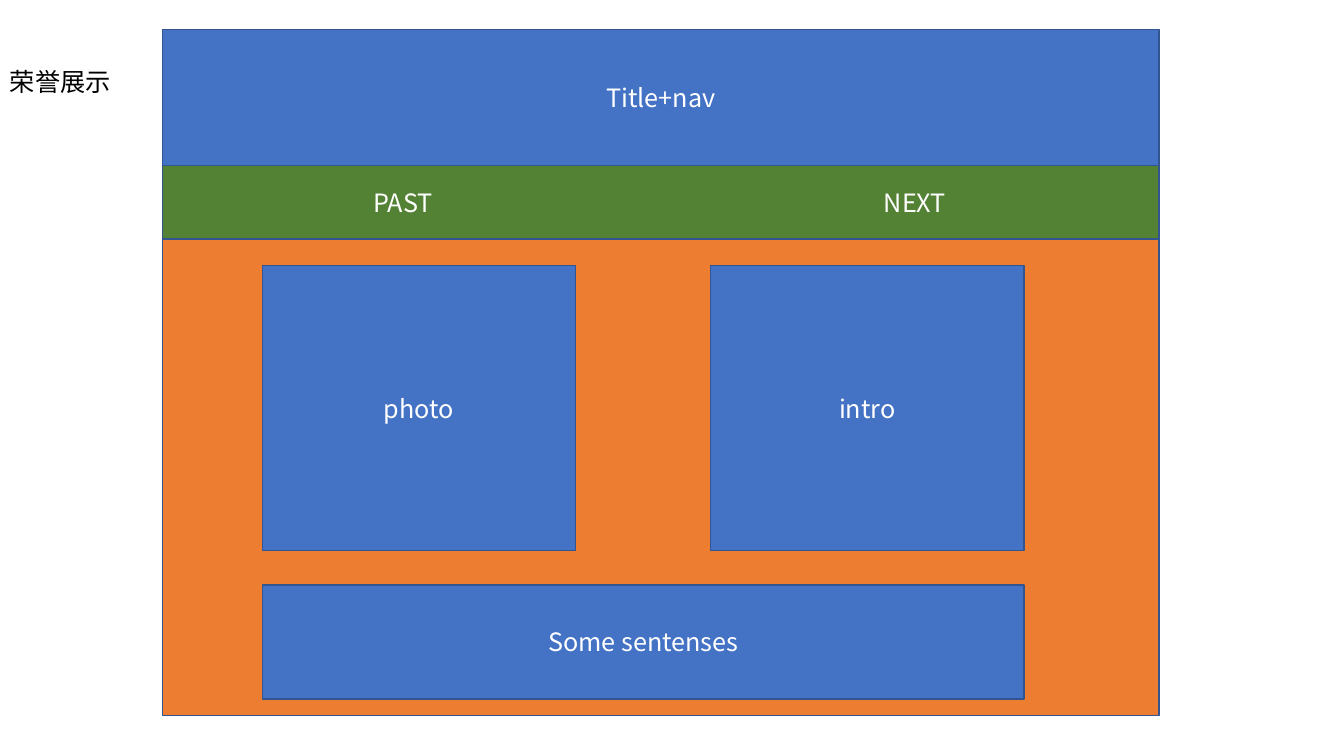
from pptx import Presentation
from pptx import util as u
from pptx.dml import color
from pptx.enum import shapes, text
from pptx.oxml import ns
from lxml import etree

COLORS = {"blue": "4472C4", "green": "548235", "orange": "ED7D31",
          "border": "325491", "white": "FFFFFF", "black": "000000"}
FONT = "Noto Sans CJK SC"


def rgb(name):
    return color.RGBColor.from_string(COLORS[name])


def add_run(paragraph, wording, ink):
    run = paragraph.add_run()
    run.text = wording
    run.font.size = u.Pt(18)
    run.font.name = FONT
    run.font.color.rgb = rgb(ink)
    east_asian = etree.SubElement(run.font._element, ns.qn("a:ea"))
    east_asian.set("typeface", FONT)


def add_block(slide, box, fill, label=None):
    block = slide.shapes.add_shape(shapes.MSO_SHAPE.RECTANGLE, *map(u.Pt, box))
    block.shadow.inherit = False
    block.fill.solid()
    block.fill.fore_color.rgb = rgb(fill)
    block.line.color.rgb = rgb("border")
    block.line.width = u.Pt(1)
    block.text_frame.vertical_anchor = text.MSO_ANCHOR.MIDDLE
    paragraph = block.text_frame.paragraphs[0]
    paragraph.alignment = text.PP_ALIGN.CENTER
    if label:
        add_run(paragraph, label, "white")
    return paragraph


def add_pager(slide, box, links):
    paragraph = add_block(slide, box, "green")
    paragraph.alignment = text.PP_ALIGN.LEFT
    tabs = etree.SubElement(paragraph._p.get_or_add_pPr(), ns.qn("a:tabLst"))
    for label, center in links:
        tab = etree.SubElement(tabs, ns.qn("a:tab"))
        tab.set("pos", str(u.Pt(center)))
        tab.set("algn", "ctr")
        add_run(paragraph, "\t" + label, "white")


def add_honors(slide, box):
    left, top, width, height = box
    add_block(slide, box, "orange")
    inset, upper, panel_width, panel_height = 71.3, 18.7, 224, 203.8
    panels_width = 544.3
    for label, offset in (("photo", 0), ("intro", panels_width - panel_width)):
        add_block(slide, (left + inset + offset, top + upper,
                          panel_width, panel_height), "blue", label)
    add_block(slide, (left + inset, top + 247, panels_width, 81.4),
              "blue", "Some sentenses")


def add_page_name(slide, box, wording):
    page_name = slide.shapes.add_textbox(*map(u.Pt, box))
    page_name.text_frame.word_wrap = True
    page_name.text_frame.auto_size = text.MSO_AUTO_SIZE.SHAPE_TO_FIT_TEXT
    add_run(page_name.text_frame.paragraphs[0], wording, "black")


def add_wireframe(slide, box):
    left, top, width, height = box
    header_height, pager_height = 97.4, 52.5
    pager_top = top + header_height
    honors_top = pager_top + pager_height
    add_block(slide, (left, top, width, header_height), "blue", "Title+nav")
    add_pager(slide, (left, pager_top, width, pager_height),
              (("PAST", 164.8), ("NEXT", 530.4)))
    add_honors(slide, (left, honors_top, width, top + height - honors_top))
    add_page_name(slide, (0, top + 23, left, 29), "荣誉展示")


deck = Presentation()
deck.slide_width, deck.slide_height = u.Pt(960), u.Pt(540)
honors_page = deck.slides.add_slide(deck.slide_layouts[6])
add_wireframe(honors_page, (116, 20.9, 712, 490.3))
deck.save("out.pptx")
